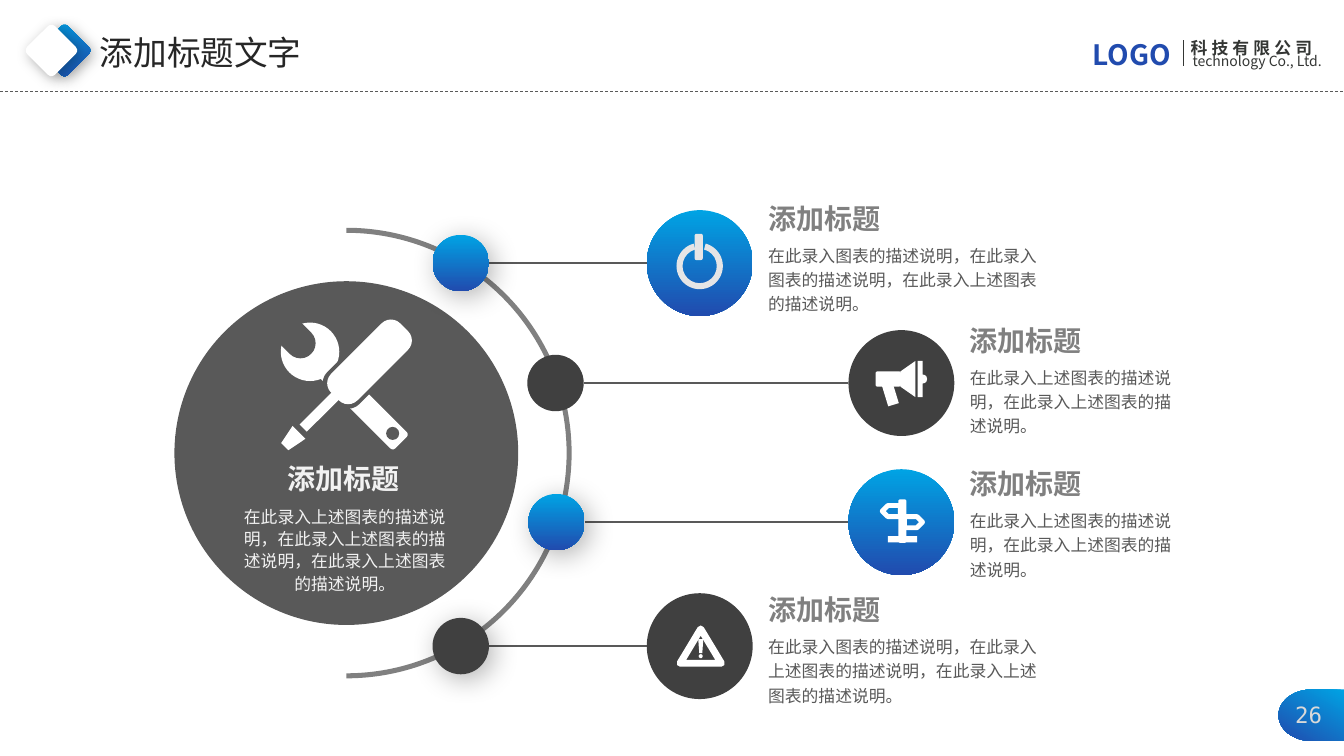
from lxml import etree
from pptx import Presentation
from pptx.dml.color import RGBColor
from pptx.enum.dml import MSO_LINE
from pptx.enum.shapes import MSO_CONNECTOR, MSO_SHAPE as SHAPE
from pptx.enum.text import MSO_ANCHOR, MSO_AUTO_SIZE, PP_ALIGN
from pptx.oxml.ns import qn
from pptx.util import Inches, Pt

BLUE, CYAN = RGBColor(0x21, 0x4B, 0xAE), RGBColor(0x00, 0xA3, 0xE4)
WHITE, PALE = RGBColor(0xFF, 0xFF, 0xFF), RGBColor(0xF2, 0xF2, 0xF2)
SILVER, LIGHT = RGBColor(0xE5, 0xE5, 0xE6), RGBColor(0xD9, 0xD9, 0xD9)
GRAY, SLATE = RGBColor(0x80, 0x80, 0x80), RGBColor(0x59, 0x59, 0x59)
DARK, INK = RGBColor(0x40, 0x40, 0x40), RGBColor(0x26, 0x26, 0x26)
BRAND = RGBColor(0x34, 0x36, 0x34)
SANS, MONO = "Noto Sans CJK SC", "DejaVu Sans Mono"

# Content
TITLE, HEADING = "添加标题文字", "添加标题"
HUB_TEXT = "在此录入上述图表的描述说明，在此录入上述图表的描述说明，在此录入上述图表的描述说明。"
SHORT_TEXT = "在此录入上述图表的描述说明，在此录入上述图表的描述说明。"
ITEMS = [
    dict(icon="power", node_x=4.57, badge_x=6.94, y=2.61, top=1.95, width=2.88, bright=True, shaded=True,
         text="在此录入图表的描述说明，在此录入图表的描述说明，在此录入上述图表的描述说明。"),
    dict(icon="megaphone", node_x=5.51, badge_x=8.94, y=3.8, top=3.16, width=2.25, bright=False,
         shaded=False, text=SHORT_TEXT),
    dict(icon="signpost", node_x=5.52, badge_x=8.94, y=5.18, top=4.58, width=2.25, bright=True,
         shaded=True, text=SHORT_TEXT),
    dict(icon="warning", node_x=4.57, badge_x=6.94, y=6.41, top=5.83, width=2.88, bright=False, shaded=True,
         text="在此录入图表的描述说明，在此录入上述图表的描述说明，在此录入上述图表的描述说明。"),
]

# Sizes in inches
NODE, BADGE, HUB, ARC = 0.56, 1.05, 3.41, 4.47
HUB_X, HUB_Y = 3.435, 4.495
TEXT_GAP, BODY_DROP = 0.58, 0.4

deck = Presentation()
deck.slide_width, deck.slide_height = Inches(13.33), Inches(7.5)
page = deck.slides.add_slide(deck.slide_layouts[5])


def paint(fill, color):
    """Fill with one colour, or with (first, last, counter-clockwise angle)."""
    if isinstance(color, RGBColor):
        fill.solid()
        fill.fore_color.rgb = color
        return
    fill.gradient()
    fill.gradient_angle = color[2]
    for stop, shade in zip(fill.gradient_stops, color):
        stop.color.rgb = shade


def add_shadow(shape, blur, distance):
    effects = shape._element.spPr.find(qn("a:effectLst"))
    outer = etree.SubElement(effects, qn("a:outerShdw"), blurRad=str(Pt(blur)), dist=str(Pt(distance)),
                             dir="2700000", algn="tl", rotWithShape="0")
    tint = etree.SubElement(outer, qn("a:srgbClr"), val="000000")
    etree.SubElement(tint, qn("a:alpha"), val="30000")


def add_centred(kind, x, y, width, height, color, turn=0, adjust=(), shadow=None, stroke=0):
    """Place a shape by its centre; a stroke in points makes it hollow."""
    shape = page.shapes.add_shape(
        kind, *map(Inches, (x - width / 2, y - height / 2, width, height)))
    shape.rotation = turn
    for index, value in enumerate(adjust):
        shape.adjustments[index] = value
    if stroke:
        shape.fill.background()
        shape.line.color.rgb, shape.line.width = color, Pt(stroke)
    else:
        paint(shape.fill, color)
        shape.line.fill.background()
    shape.shadow.inherit = False
    if shadow:
        add_shadow(shape, *shadow)


def add_disc(x, y, size, color, shadow=None):
    add_centred(SHAPE.OVAL, x, y, size, size, color, shadow=shadow)


def add_bar(x, y, width, height, color, turn=0, rounding=0):
    add_centred(SHAPE.ROUNDED_RECTANGLE, x, y, width, height, color, turn, [rounding])


def add_arc(x, y, size, thickness, start, end, color):
    """Draw a ring clockwise from start to end, in degrees from the right."""
    unit = 60000 / 100000
    add_centred(SHAPE.BLOCK_ARC, x, y, size, size, color,
                adjust=[start * unit, end * unit, thickness / size])


def add_line(x1, y1, x2, y2, color=SLATE, width=1, dash=None):
    line = page.shapes.add_connector(MSO_CONNECTOR.STRAIGHT, *map(Inches, (x1, y1, x2, y2)))
    line.line.color.rgb, line.line.width = color, Pt(width)
    if dash:
        line.line.dash_style = dash
    etree.SubElement(line._element.spPr, qn("a:effectLst"))


def write(text, left, top, width, height, size, color, bold=False, wrap=False, align=PP_ALIGN.LEFT,
          spacing=1.0, name=SANS, tracking=0, box=None):
    box = box or page.shapes.add_textbox(0, 0, 0, 0)
    box.left, box.top, box.width, box.height = map(Inches, (left, top, width, height))
    frame = box.text_frame
    frame_format = dict(word_wrap=wrap, auto_size=MSO_AUTO_SIZE.NONE, vertical_anchor=MSO_ANCHOR.TOP)
    for key, value in frame_format.items():
        setattr(frame, key, value)
    para = frame.paragraphs[0]
    para.alignment, para.line_spacing = align, spacing
    span = para.add_run()
    span.text = text
    for key, value in dict(size=Pt(size), bold=bold, name=name).items():
        setattr(span.font, key, value)
    paint(span.font.fill, color)
    props = span._r.get_or_add_rPr()
    props.find(qn("a:latin")).addnext(etree.Element(qn("a:ea"), typeface=name))
    if tracking:
        props.set("spc", str(tracking * 100))


# Icons, each built around its own centre
def draw_tools(x, y):
    # Wrench: a notched head and a shank running down to the right
    add_disc(x - 0.36, y - 0.34, 0.58, WHITE)
    add_bar(x - 0.55, y - 0.52, 0.57, 0.3, SLATE, turn=45, rounding=0.5)
    add_bar(x + 0.1, y + 0.12, 1.25, 0.23, WHITE, turn=45, rounding=0.15)
    add_disc(x + 0.46, y + 0.47, 0.13, SLATE)
    # Screwdriver: a grip with a dark margin, a shaft and a blade
    grip_length, grip_width, margin = 0.97, 0.37, 0.04
    for extra, color in ((2 * margin, SLATE), (0, WHITE)):
        add_bar(x + 0.23, y - 0.24, grip_length + extra, grip_width + extra, color, turn=-45, rounding=0.35)
    add_bar(x - 0.25, y + 0.24, 0.5, 0.1, WHITE, turn=-45)
    add_centred(SHAPE.TRAPEZOID, x - 0.54, y + 0.53, 0.18, 0.2, WHITE, turn=225, adjust=[0.22])


def draw_power(x, y):
    half_gap = 15
    add_arc(x, y + 0.03, 0.46, 0.06, 270 + half_gap, 270 - half_gap, SILVER)
    add_bar(x - 0.01, y - 0.16, 0.08, 0.26, SILVER, rounding=0.2)


def draw_megaphone(x, y):
    y -= 0.04
    add_bar(x - 0.13, y, 0.25, 0.15, WHITE, rounding=0.1)
    add_centred(SHAPE.TRAPEZOID, x + 0.065, y, 0.36, 0.15, WHITE, turn=270, adjust=[0.7])
    add_bar(x + 0.185, y, 0.05, 0.36, WHITE)
    add_disc(x + 0.21, y, 0.09, WHITE)
    add_bar(x - 0.11, y + 0.15, 0.11, 0.22, WHITE, turn=-17)


def draw_signpost(x, y):
    add_bar(x + 0.01, y - 0.01, 0.08, 0.43, WHITE, rounding=0.2)
    add_bar(x + 0.01, y + 0.17, 0.29, 0.06, WHITE)
    for side, rise, turn in ((-1, -0.11, 180), (1, 0, 0)):
        add_centred(SHAPE.PENTAGON, x + 0.01 + side * 0.11, y + rise, 0.18, 0.11, WHITE, turn, stroke=3.5)


def draw_warning(x, y):
    add_centred(SHAPE.ISOSCELES_TRIANGLE, x + 0.01, y, 0.41, 0.34, WHITE, stroke=5)
    add_centred(SHAPE.TRAPEZOID, x + 0.01, y, 0.05, 0.14, WHITE, turn=180, adjust=[0.2])
    add_disc(x + 0.01, y + 0.1, 0.04, WHITE)


ICONS = dict(power=draw_power, megaphone=draw_megaphone, signpost=draw_signpost, warning=draw_warning)

# Header
write(TITLE, 0.89, 0.27, 2.22, 0.5, 24, INK, box=page.shapes.title)
add_line(0, 0.91, 13.33, 0.91, width=0.5, dash=MSO_LINE.DASH)
for x, color in ((0.64, (CYAN, BLUE, 340)), (0.51, WHITE)):
    add_centred(SHAPE.ROUNDED_RECTANGLE, x, 0.5, 0.39, 0.39, color, 45, [0.125], shadow=(10, 3))
write("LOGO", 10.74, 0.32, 1.13, 0.44, 20, (BLUE, CYAN, 60), bold=True)
add_line(11.74, 0.4, 11.74, 0.65, BRAND)
write("科技有限公司", 11.71, 0.33, 1.6, 0.3, 12, BRAND, bold=True, tracking=3)
write("technology Co., Ltd.", 11.73, 0.47, 1.6, 0.27, 10, BRAND)

# Page number
add_centred(SHAPE.FLOWCHART_DELAY, 13.005, 7.095, 0.65, 0.51, (CYAN, BLUE, 60), turn=180)
write("26", 12.65, 6.91, 0.66, 0.37, 16, LIGHT, wrap=True, align=PP_ALIGN.CENTER, name=MONO)

# Hub with its arc
add_arc(HUB_X, HUB_Y, ARC, 0.05, 270, 90, GRAY)
add_disc(HUB_X, HUB_Y, HUB, SLATE)
draw_tools(HUB_X, 3.83)
write(HEADING, 2.75, 4.53, 1.32, 0.44, 20, PALE, bold=True)
write(HUB_TEXT, 2.27, 4.96, 2.3, 0.99, 12, PALE, wrap=True, align=PP_ALIGN.CENTER, spacing=1.1)

# Branches: node, line, badge with icon, text
for item in ITEMS:
    node_x, badge_x, y, top = (item[key] for key in ("node_x", "badge_x", "y", "top"))
    color = (CYAN, BLUE, 270) if item["bright"] else DARK
    add_line(node_x + NODE / 2, y, badge_x - BADGE / 2, y)
    add_disc(node_x, y, NODE, color, (20, 5) if item["shaded"] else None)
    add_disc(badge_x, y, BADGE, color)
    ICONS[item["icon"]](badge_x, y)
    left = badge_x + TEXT_GAP
    write(HEADING, left, top, 1.32, 0.44, 20, GRAY, bold=True)
    write(item["text"], left, top + BODY_DROP, item["width"], 0.83, 12, SLATE, wrap=True, spacing=1.2)

deck.save("out.pptx")
